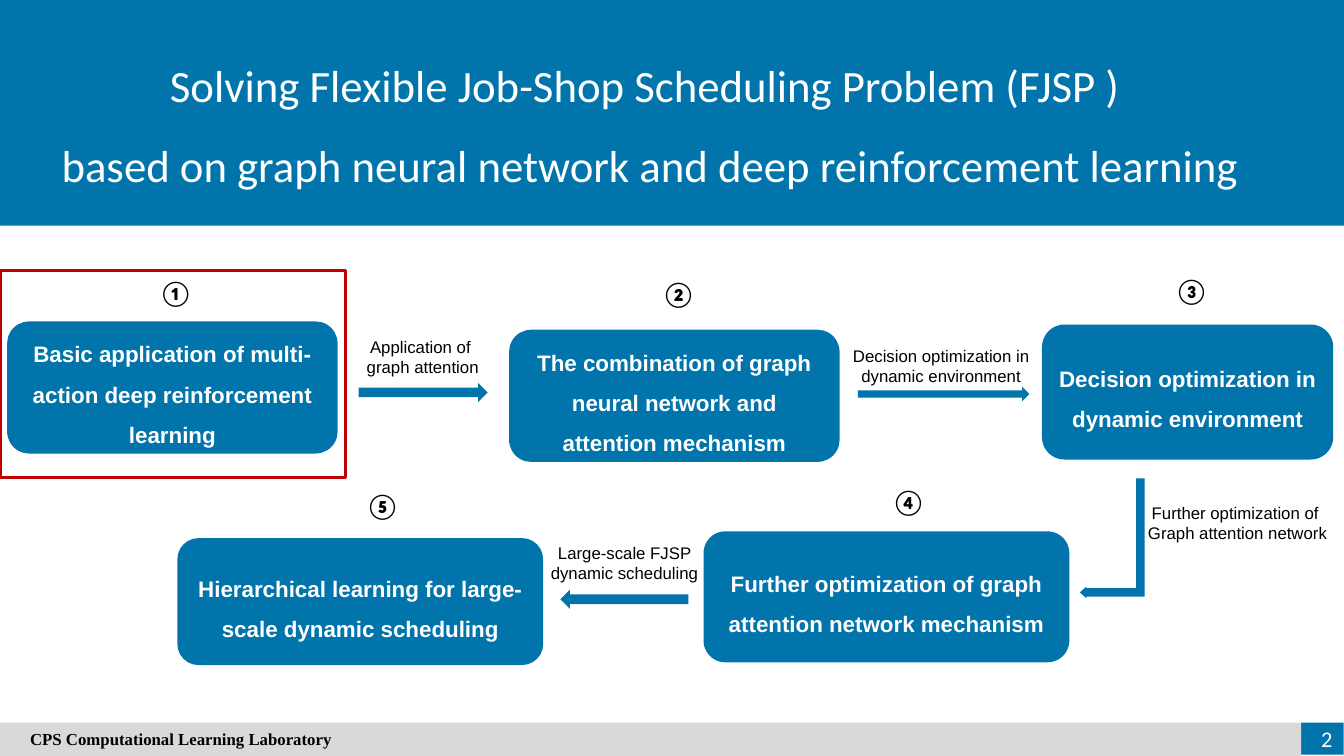
import pptx
import pptx.util
import pptx.dml.color
import pptx.enum.shapes
import pptx.enum.text

Cm = pptx.util.Cm
Pt = pptx.util.Pt
SHAPE = pptx.enum.shapes.MSO_SHAPE
ALIGN = pptx.enum.text.PP_ALIGN
ANCHOR = pptx.enum.text.MSO_ANCHOR
FIT = pptx.enum.text.MSO_AUTO_SIZE
BLUE, GREY, RED = "0174AB", "D9D9D9", "C00000"
WHITE, BLACK = "FFFFFF", "000000"


def add_block(kind, place, fill):
    block = page.shapes.add_shape(kind, *map(Cm, place))
    block.shadow.inherit = False
    block.line.fill.background()
    if fill:
        block.fill.solid()
        block.fill.fore_color.rgb = pptx.dml.color.RGBColor.from_string(fill)
    else:
        block.fill.background()
    return block


def write(box, lines, size, font, color, bold=False, align=ALIGN.CENTER,
          spacing=None, anchor=ANCHOR.TOP, wrap=True):
    frame = box.text_frame
    frame.word_wrap = wrap
    frame.auto_size = FIT.NONE
    frame.vertical_anchor = anchor
    for index, line in enumerate(lines):
        para = frame.add_paragraph() if index else frame.paragraphs[0]
        para.alignment = align
        para.space_before = Pt(0)
        if spacing:
            para.line_spacing = spacing
        span = para.add_run()
        span.text = line
        span.font.name = font
        span.font.size = Pt(size)
        span.font.bold = bold
        span.font.color.rgb = pptx.dml.color.RGBColor.from_string(color)


deck = pptx.Presentation()
deck.slide_width = Cm(33.87)
deck.slide_height = Cm(19.05)
page = deck.slides.add_slide(deck.slide_layouts[5])

title = page.shapes.title
title.left, title.top, title.width, title.height = map(Cm, (0.86, 0.64, 31.06, 4.14))
write(title, ["Solving Flexible Job-Shop Scheduling Problem (FJSP ) ",
              "based on graph neural network and deep reinforcement learning"],
      32, "Calibri", WHITE, spacing=1.5)
band = add_block(SHAPE.RECTANGLE, (0, 0, 34.01, 5.69), BLUE)
title.element.addprevious(band.element)

stages = [
    ("①", (3.76, 6.86), (0.18, 8.1, 8.33, 3.33),
     "Basic application of multi-action deep reinforcement learning"),
    ("②", (16.43, 6.88), (12.83, 8.31, 8.33, 3.33),
     "The combination of graph neural network and attention mechanism"),
    ("③", (29.36, 6.81), (26.26, 8.18, 7.34, 3.4),
     "Decision optimization in dynamic environment"),
    ("④", (22.23, 12.12), (17.73, 13.39, 9.22, 3.3),
     "Further optimization of graph attention network mechanism"),
    ("⑤", (8.97, 12.24), (4.47, 13.56, 9.22, 3.2),
     "Hierarchical learning for large-scale dynamic scheduling"),
]
for number, corner, place, text in stages:
    stage = add_block(SHAPE.ROUNDED_RECTANGLE, place, BLUE)
    write(stage, [text], 16, "Arial", WHITE, bold=True, spacing=1.5, anchor=ANCHOR.MIDDLE)
    badge = page.shapes.add_textbox(*map(Cm, (*corner, 1.14, 1.02)))
    write(badge, [number], 18, "Calibri", BLACK, bold=True, align=ALIGN.LEFT, wrap=False)

arrows = [
    ((9.04, 9.65, 3.25, 0.48), 0),
    ((21.62, 9.75, 4.32, 0.36), 0),
    ((14.12, 14.86, 3.23, 0.48), 180),
]
for place, turn in arrows:
    arrow = add_block(SHAPE.RIGHT_ARROW, place, BLUE)
    arrow.rotation = turn

bent_arrow = add_block(SHAPE.BENT_UP_ARROW, (26.52, 12.75, 3.02, 1.63), BLUE)
bent_arrow.rotation = 90
bent_arrow.element.spPr.xfrm.set("flipV", "1")
for index, ratio in enumerate((0.13, 0.09, 0.1)):
    bent_arrow.adjustments[index] = ratio

labels = [
    ((7.9, 8.36, 5.51, 1.27), ["Application of ", "graph attention"]),
    ((20.8, 8.59, 5.84, 1.27), ["Decision optimization in dynamic environment"]),
    ((28.27, 12.55, 5.84, 1.27), ["Further optimization of ", "Graph attention network"]),
    ((13.16, 13.54, 5.16, 1.27), ["Large-scale FJSP dynamic scheduling"]),
]
for place, lines in labels:
    label = page.shapes.add_textbox(*map(Cm, place))
    write(label, lines, 12, "Arial", BLACK)

add_block(SHAPE.RECTANGLE, (32.79, 18.21, 1.07, 0.81), BLUE)
footer = add_block(SHAPE.RECTANGLE, (0, 18.21, 32.79, 0.84), GREY)
footer.text_frame.margin_left = Cm(0.76)
write(footer, ["CPS Computational Learning Laboratory"], 12, "Times New Roman", BLACK,
      bold=True, align=ALIGN.LEFT, anchor=ANCHOR.MIDDLE)
page_number = page.shapes.add_textbox(*map(Cm, (32.23, 18.11, 1.6, 1.02)))
write(page_number, ["2"], 16, "Calibri", WHITE, align=ALIGN.RIGHT, anchor=ANCHOR.MIDDLE)

highlight = add_block(SHAPE.RECTANGLE, (0, 6.81, 8.71, 5.23), None)
highlight.line.color.rgb = pptx.dml.color.RGBColor.from_string(RED)
highlight.line.width = Pt(2.25)

deck.save("out.pptx")
